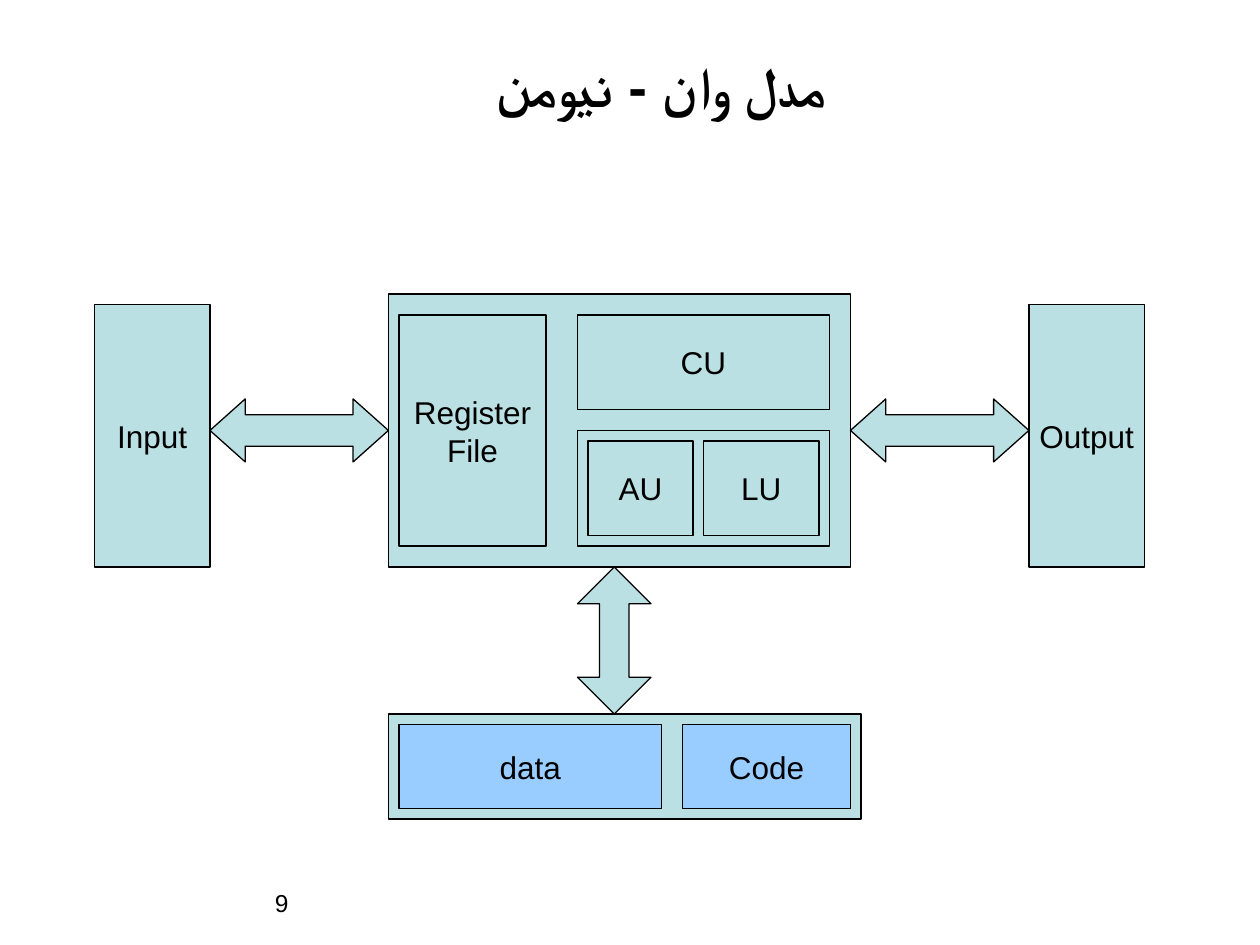
from lxml import etree
from pptx import Presentation
from pptx.dml.color import RGBColor
from pptx.enum.shapes import MSO_SHAPE
from pptx.enum.text import MSO_ANCHOR, PP_ALIGN
from pptx.oxml.ns import qn
from pptx.util import Inches, Pt

RECTANGLE = MSO_SHAPE.RECTANGLE
HORIZONTAL_ARROW = MSO_SHAPE.LEFT_RIGHT_ARROW
VERTICAL_ARROW = MSO_SHAPE.UP_DOWN_ARROW
TOP, MIDDLE = MSO_ANCHOR.TOP, MSO_ANCHOR.MIDDLE
LEFT, CENTER = PP_ALIGN.LEFT, PP_ALIGN.CENTER

COLUMNS, ROWS = 120, 90
SLIDE_WIDTH, SLIDE_HEIGHT = Inches(10), Inches(7.5)
FONT = "Arial"
COLORS = {"unit": "BBE0E3", "store": "99CCFF", "ink": "000000"}


def color(name):
    return RGBColor.from_string(COLORS[name])


def place(box):
    left, top, width, height = box
    column, row = SLIDE_WIDTH / COLUMNS, SLIDE_HEIGHT / ROWS
    return round(left * column), round(top * row), round(width * column), round(height * row)


def within(box, left, top, width, height):
    return box[0] + left, box[1] + top, width, height


def write(shape, text, size, align=CENTER, anchor=MIDDLE, bold=False):
    frame = shape.text_frame
    frame.text = text
    frame.word_wrap = False
    frame.vertical_anchor = anchor
    for paragraph in frame.paragraphs:
        paragraph.alignment = align
        for run in paragraph.runs:
            run.font.name = FONT
            run.font.size = Pt(size)
            run.font.bold = bold
            run.font.color.rgb = color("ink")


def add_block(slide, box, text="", fill="unit", kind=RECTANGLE):
    shape = slide.shapes.add_shape(kind, *place(box))
    shape.shadow.inherit = False
    shape.fill.solid()
    shape.fill.fore_color.rgb = color(fill)
    shape.line.color.rgb = color("ink")
    shape.line.width = Pt(0.75)
    if text:
        write(shape, text, 18)
    return shape


def add_arrow(slide, box, kind, head):
    arrow = add_block(slide, box, kind=kind)
    arrow.adjustments[0] = 0.5
    arrow.adjustments[1] = head


def add_title(slide, box, text):
    title = slide.shapes.title
    title.left, title.top, title.width, title.height = place(box)
    write(title, text, 32, anchor=TOP, bold=True)
    properties = title.text_frame.paragraphs[0].runs[0].font._element
    etree.SubElement(properties, qn("a:cs")).set("typeface", FONT)


def add_logic_unit(slide, box):
    add_block(slide, box)
    add_block(slide, within(box, 1, 1, 10, 9), "AU")
    add_block(slide, within(box, 12, 1, 11, 9), "LU")


def add_processor(slide, box):
    add_block(slide, box)
    add_block(slide, within(box, 1, 2, 14, 22), "Register\nFile")
    add_block(slide, within(box, 18, 2, 24, 9), "CU")
    add_logic_unit(slide, within(box, 18, 13, 24, 11))


def add_memory(slide, box):
    add_block(slide, box)
    add_block(slide, within(box, 1, 1, 25, 8), "data", "store")
    add_block(slide, within(box, 28, 1, 16, 8), "Code", "store")


def add_page_number(slide, box, number):
    text_box = slide.shapes.add_textbox(*place(box))
    write(text_box, str(number), 14, LEFT, TOP)


def main():
    presentation = Presentation()
    presentation.slide_width, presentation.slide_height = SLIDE_WIDTH, SLIDE_HEIGHT
    slide = presentation.slides.add_slide(presentation.slide_layouts[5])

    add_title(slide, (40.5, 4.3, 45, 7.7), "مدل وان - نیومن")
    add_processor(slide, (37, 28, 44, 26))
    for left, text in ((9, "Input"), (98, "Output")):
        add_block(slide, (left, 29, 11, 25), text)
    add_memory(slide, (37, 68, 45, 10))
    for left in (20, 81):
        add_arrow(slide, (left, 38, 17, 6), HORIZONTAL_ARROW, 0.56)
    add_arrow(slide, (55, 54, 7, 14), VERTICAL_ARROW, 0.4)
    add_page_number(slide, (25, 84, 18, 6), 9)

    presentation.save("out.pptx")


if __name__ == "__main__":
    main()
